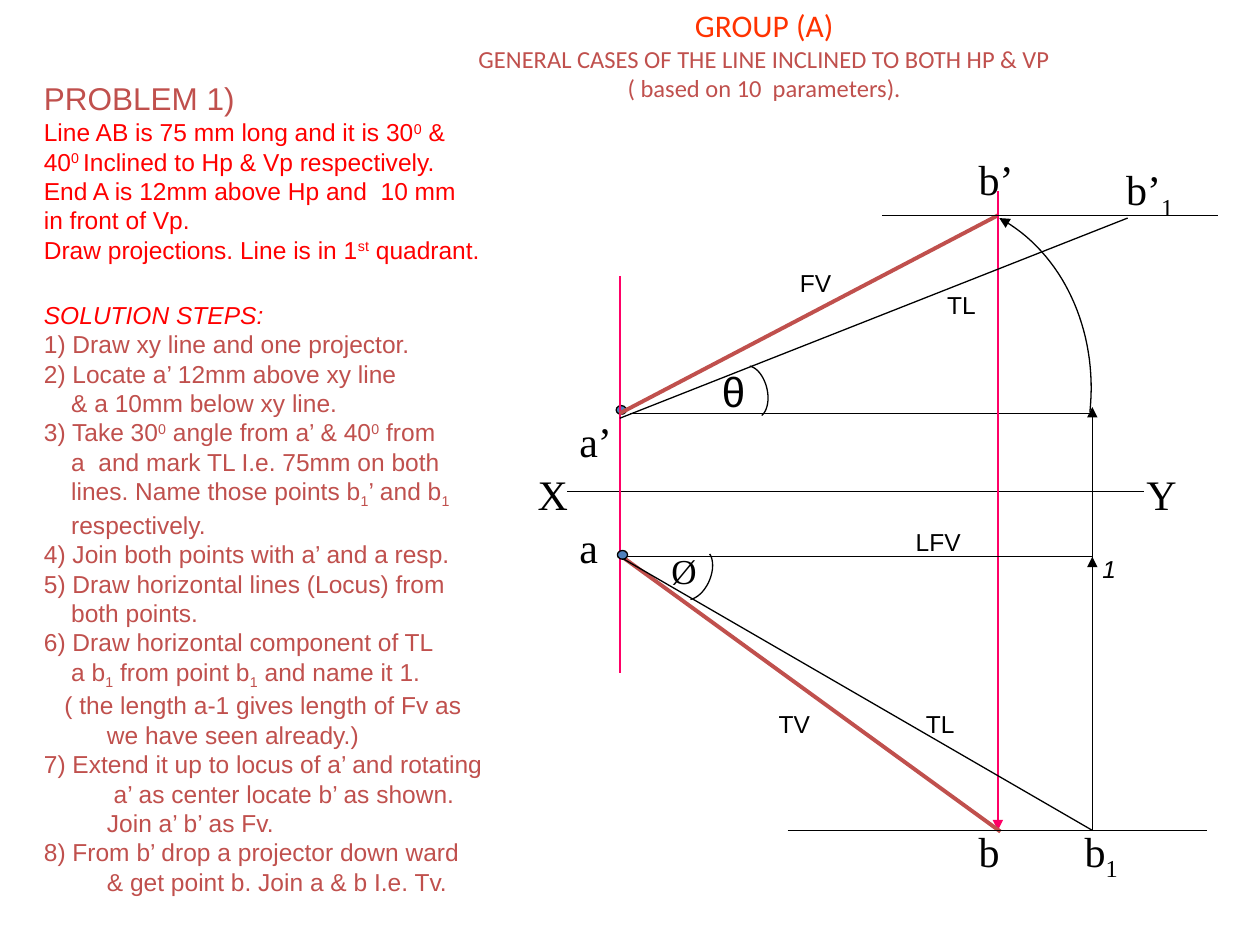
from dataclasses import dataclass
from math import cos, radians, sin

from lxml.etree import SubElement
from pptx import Presentation
from pptx.dml.color import RGBColor
from pptx.enum.shapes import MSO_CONNECTOR as Connector, MSO_SHAPE as Preset
from pptx.enum.text import PP_ALIGN as Align
from pptx.oxml.ns import qn
from pptx.slide import Slide
from pptx.util import Pt

COLORS = {
    "black": "000000", "red": "FF0000", "orange": "FF3300",
    "brick": "C0504D", "pink": "FF0066", "blue": "4F81BD",
}
SERIF, SANS, TITLE = "Times New Roman", "Arial", "Calibri"
CURVE_STEPS = 32

A_X, B_X, B1_X = 354.2, 570.2, 624.2
TOP_Y, A_TOP_Y, AXIS_Y, A_LOW_Y, LOW_Y = 123.1, 236.2, 280.8, 318.2, 474.5

Point = tuple[float, float]


@dataclass(frozen=True)
class Span:
    text: str
    baseline: int = 0


SUP_0, SUP_ST, SUB_1 = Span("0", 30), Span("st", 30), Span("1", -25)


@dataclass(frozen=True)
class Para:
    spans: tuple[str | Span, ...]
    size: float = 14
    color: str = "brick"
    font: str = SANS
    italic: bool = False
    align: Align = Align.LEFT
    margin: float = 0
    indent: float = 0


@dataclass(frozen=True)
class TextBox:
    left: float
    top: float
    width: float
    height: float
    paras: tuple[Para, ...]
    wrap: bool = False


@dataclass(frozen=True)
class Line:
    start: Point
    end: Point
    color: str = "black"
    width: float = 0.75
    head: bool = False
    tail: bool = False


def rgb(name: str) -> RGBColor:
    return RGBColor.from_string(COLORS[name])


def add_arrowhead(shape, end: str) -> None:
    SubElement(shape.line._get_or_add_ln(), qn(f"a:{end}"), type="triangle")


def draw_text(page: Slide, item: TextBox) -> None:
    box = page.shapes.add_textbox(Pt(item.left), Pt(item.top), Pt(item.width), Pt(item.height))
    frame = box.text_frame
    frame.word_wrap = item.wrap
    for index, content in enumerate(item.paras):
        para = frame.add_paragraph() if index else frame.paragraphs[0]
        para.alignment = content.align
        para.font.size = Pt(content.size)
        para.font.name = content.font
        para.font.italic = content.italic
        para.font.color.rgb = rgb(content.color)
        properties = para._p.get_or_add_pPr()
        properties.set("marL", str(Pt(content.margin)))
        properties.set("indent", str(Pt(content.indent)))
        for part in content.spans:
            span = part if isinstance(part, Span) else Span(part)
            run = para.add_run()
            run.text = span.text
            if span.baseline:
                run._r.get_or_add_rPr().set("baseline", str(span.baseline * 1000))


def draw_line(page: Slide, item: Line) -> None:
    line = page.shapes.add_connector(Connector.STRAIGHT, *map(Pt, item.start + item.end))
    line.line.color.rgb = rgb(item.color)
    line.line.width = Pt(item.width)
    if item.head:
        add_arrowhead(line, "headEnd")
    if item.tail:
        add_arrowhead(line, "tailEnd")
    SubElement(line._element.spPr, qn("a:effectLst"))


def draw_dot(page: Slide, left: float, top: float) -> None:
    dot = page.shapes.add_shape(Preset.OVAL, Pt(left), Pt(top), Pt(5.8), Pt(5))
    dot.shadow.inherit = False
    dot.fill.solid()
    dot.fill.fore_color.rgb = rgb("blue")
    dot.line.color.rgb = rgb("black")
    dot.line.width = Pt(0.75)


def draw_curve(page: Slide, points: list[Point], head: bool = False) -> None:
    first, *rest = [(Pt(x), Pt(y)) for x, y in points]
    builder = page.shapes.build_freeform(*first)
    builder.add_line_segments(rest, close=False)
    curve = builder.convert_to_shape()
    curve.shadow.inherit = False
    curve.fill.background()
    curve.line.color.rgb = rgb("black")
    curve.line.width = Pt(0.75)
    if head:
        add_arrowhead(curve, "headEnd")


def bezier_points(corners: tuple[Point, Point, Point, Point]) -> list[Point]:
    points = []
    for step in range(CURVE_STEPS + 1):
        t = step / CURVE_STEPS
        weights = ((1 - t) ** 3, 3 * t * (1 - t) ** 2, 3 * t ** 2 * (1 - t), t ** 3)
        points.append(tuple(sum(w * c[axis] for w, c in zip(weights, corners)) for axis in (0, 1)))
    return points


def angle_points(center: Point, tilt: float, sweep: float) -> list[Point]:
    turn = radians(tilt)
    points = []
    for step in range(CURVE_STEPS + 1):
        angle = radians(sweep * (2 * step / CURVE_STEPS - 1))
        x, y = 9 * cos(angle), 15.1 * sin(angle)
        points.append((center[0] + x * cos(turn) - y * sin(turn),
                       center[1] + x * sin(turn) + y * cos(turn)))
    return points


def label(left: float, top: float, width: float, *spans: str | Span, size: float = 14,
          font: str = SANS, italic: bool = False) -> TextBox:
    return TextBox(left, top, width, size * 1.2 + 7.2,
                   (Para(spans, size, "black", font, italic),))


def point_name(left: float, top: float, width: float, *spans: str | Span,
               size: float = 24) -> TextBox:
    return label(left, top, width, *spans, size=size, font=SERIF)


def step(*spans: str | Span, start: float = 0) -> Para:
    return Para(spans, margin=36, indent=start - 36)


def more(*spans: str | Span) -> Para:
    return step(*spans, start=15.6)


def statement(*spans: str | Span) -> Para:
    return Para(spans, color="red")


LINES = (
    Line((324, AXIS_Y), (653.8, AXIS_Y)),
    Line((A_X, 157.7), (A_X, 384.5), "pink", 1),
    Line((360, A_TOP_Y), (B1_X, A_TOP_Y)),
    Line((A_X, A_TOP_Y), (B_X, TOP_Y), "brick", 2.25),
    Line((B_X, 109.4), (B_X, LOW_Y), "pink", 1, tail=True),
    Line((A_X, A_LOW_Y - 1), (571.7, LOW_Y + 0.7), "brick", 2.25),
    Line((450, LOW_Y), (689.8, LOW_Y)),
    Line((B1_X, 232.6), (B1_X, LOW_Y), head=True),
    Line((A_X, A_LOW_Y), (B1_X, A_LOW_Y)),
    Line((A_X, A_LOW_Y), (B1_X, LOW_Y)),
    Line((A_X, 239), (644.4, 124.6)),
    Line((504, TOP_Y), (696.2, TOP_Y)),
    Line((B1_X, 342), (B1_X, A_LOW_Y), tail=True),
)

LABELS = (
    point_name(324, 234, 33.1, "a’"),
    point_name(552.2, 84.2, 34.6, "b’"),
    point_name(324, 294.5, 25.2, "a"),
    point_name(552.2, 468, 25.9, "b"),
    point_name(300.2, 264.2, 41.8, "X"),
    point_name(648, 264.2, 31.7, "Y"),
    point_name(636.5, 90, 50, "b’", SUB_1),
    point_name(612.7, 468, 36, "b", SUB_1),
    point_name(376.6, 310.3, 28.8, "Ø", size=20),
    label(405.4, 205.2, 26.6, "θ", size=24),
    label(622.8, 313.2, 22.3, "1", italic=True),
    label(516.2, 297.4, 40.3, "LFV"),
    label(534.2, 162, 31, "TL"),
    label(522, 401.8, 31, "TL"),
    label(450, 149.8, 32.4, "FV"),
    label(437.8, 401.8, 32.4, "TV"),
)

HEADING = TextBox(265.7, 0, 342, 62.6, (
    Para(("GROUP (A)",), 18, "orange", TITLE, align=Align.CENTER),
    Para(("GENERAL CASES OF THE LINE INCLINED TO BOTH HP & VP",), font=TITLE, align=Align.CENTER),
    Para(("( based on 10  parameters).",), font=TITLE, align=Align.CENTER),
))

PROBLEM = TextBox(18, 41.8, 263.5, 113, (
    Para(("PROBLEM 1)",), 18),
    statement("Line AB is 75 mm long and it is 30", SUP_0, " &"),
    statement("40", Span("0 ", 30), "Inclined to Hp & Vp respectively."),
    statement("End A is 12mm above Hp and  10 mm"),
    statement("in front of Vp."),
    statement("Draw projections. Line is in 1", SUP_ST, " quadrant."),
))

SOLUTION = TextBox(18, 167.8, 265, 365, (
    Para(("SOLUTION STEPS:",), color="red", italic=True, margin=36, indent=-36),
    step("1) Draw xy line and one projector."),
    step("2) Locate a’ 12mm above xy line"),
    more("& a 10mm below xy line."),
    step("3) Take 30", SUP_0, " angle from a’ & 40", SUP_0, " from"),
    more("a  and mark TL I.e. 75mm on both"),
    more("lines. Name those points b", SUB_1, "’ and b", SUB_1),
    more("respectively."),
    step("4) Join both points with a’ and a resp."),
    step("5) Draw horizontal lines (Locus) from"),
    more("both points."),
    step("6) Draw horizontal component of TL"),
    more("a b", SUB_1, " from point b", SUB_1, " and name it 1."),
    step("( the length a-1 gives length of Fv as we have seen already.)", start=11.7),
    step("7) Extend it up to locus of a’ and rotating  a’ as center locate b’ as shown. "
         "Join a’ b’ as Fv."),
    step("8) From b’ drop a projector down ward  & get point b. Join a & b I.e. Tv."),
), wrap=True)


def main() -> None:
    deck = Presentation()
    deck.slide_width, deck.slide_height = Pt(720), Pt(540)
    page = deck.slides.add_slide(deck.slide_layouts[6])
    draw_curve(page, angle_points((429.5, 223.9), -13.6, 74))
    draw_curve(page, angle_points((397.1, 328.3), 23, 69))
    draw_dot(page, 352.1, 231.8)
    for line in LINES:
        draw_line(page, line)
    draw_curve(page, bezier_points(((571, 124.6), (607, 144), (627.8, 188.6), (622.8, 235.4))),
               head=True)
    draw_dot(page, 352.8, 314.6)
    for text in (*LABELS, HEADING, PROBLEM, SOLUTION):
        draw_text(page, text)
    deck.save("out.pptx")


if __name__ == "__main__":
    main()
